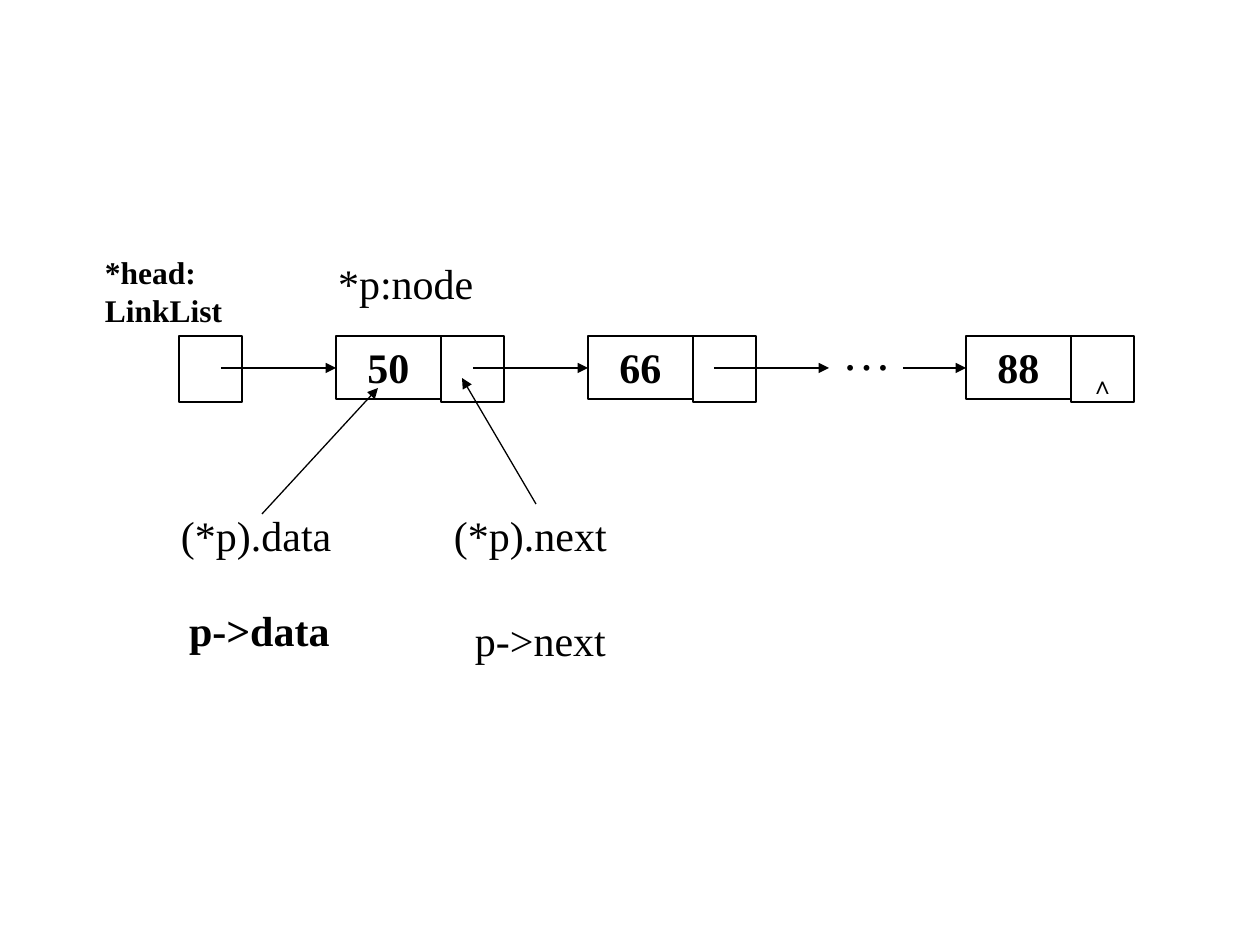
from lxml import etree
from pptx import Presentation
from pptx import util as u
from pptx.dml.color import RGBColor
from pptx.enum import shapes, text
from pptx.oxml.ns import qn

SCALE = 914400 / 126
BLACK, WHITE = "000000", "FFFFFF"
TOP, MIDDLE = 336, 368
DATA_WIDTH, NEXT_WIDTH = 105, 63


def px(length):
    """Turn a length in px into EMU."""
    return u.Emu(round(length * SCALE))


def colour(value):
    """Turn a hex string into a colour."""
    return RGBColor.from_string(value)


def write(holder, words, size=24, bold=False, align=text.PP_ALIGN.LEFT,
          side=13, inset=6, baseline=None):
    """Write the lines of words into a shape."""
    frame = holder.text_frame
    frame.word_wrap = True
    frame.vertical_anchor = text.MSO_ANCHOR.TOP
    frame.margin_left = frame.margin_right = px(side)
    frame.margin_top, frame.margin_bottom = px(inset), px(6)
    frame.text = words
    for paragraph in frame.paragraphs:
        paragraph.alignment = align
        for run in paragraph.runs:
            run.font.name = "Times New Roman"
            run.font.size = u.Pt(size)
            run.font.bold = bold
            run.font.color.rgb = colour(BLACK)
            if baseline:
                run.font._element.set("baseline", str(baseline))


def label(slide, words, left, top, width, height=63, **style):
    """Add a free-standing text."""
    box = slide.shapes.add_textbox(px(left), px(top), px(width), px(height))
    write(box, words, **style)
    return box


def cell(slide, left, width, height, words="", **style):
    """Add an outlined cell of the list."""
    box = slide.shapes.add_shape(shapes.MSO_SHAPE.RECTANGLE,
                                 px(left), px(TOP), px(width), px(height))
    box.shadow.inherit = False
    box.fill.background()
    box.line.color.rgb = colour(BLACK)
    box.line.width = u.Pt(0.75)
    if words:
        write(box, words, bold=True, align=text.PP_ALIGN.CENTER, **style)


def node(slide, left, value, mark=""):
    """Add a list node with its data and next cells."""
    cell(slide, left, DATA_WIDTH, 63, value)
    cell(slide, left + DATA_WIDTH, NEXT_WIDTH, 66, mark, baseline=-25000)


def arrow(slide, x1, y1, x2, y2):
    """Add a line with an arrowhead at its end."""
    line = slide.shapes.add_connector(shapes.MSO_CONNECTOR.STRAIGHT,
                                      px(x1), px(y1), px(x2), px(y2))
    line.line.color.rgb = colour(BLACK)
    line.line.width = u.Pt(0.75)
    etree.SubElement(line.line._get_or_add_ln(), qn("a:tailEnd"), type="triangle")
    etree.SubElement(line._element.spPr, qn("a:effectLst"))


def main():
    """Build the linked list slide."""
    deck = Presentation()
    deck.slide_width, deck.slide_height = px(1260), px(945)
    slide = deck.slides.add_slide(deck.slide_layouts[6])

    for left, value, mark in ((336, "50", ""), (588, "66", ""), (966, "88", "∧")):
        node(slide, left, value, mark)
    label(slide, "…", 829, 315, 84, 72, size=28)

    head = label(slide, "*head:\nLinkList", 105, 252, 189, 83,
                 size=18, bold=True, side=0, inset=1)
    head.fill.solid()
    head.fill.fore_color.rgb = colour(WHITE)
    cell(slide, 179, NEXT_WIDTH, 66)

    for start, end in ((221, 336), (473, 588), (714, 829), (903, 966)):
        arrow(slide, start, MIDDLE, end, MIDDLE)

    label(slide, "*p:node", 325, 252, 168)
    label(slide, "(*p).data", 168, 504, 199)
    label(slide, "(*p).next", 441, 504, 199)
    label(slide, "p->data", 189, 599, 158, bold=True, side=0)
    label(slide, "p->next", 462, 609, 179)
    arrow(slide, 262, 514, 378, 388)
    arrow(slide, 536, 504, 462, 378)

    deck.save("out.pptx")


if __name__ == "__main__":
    main()
